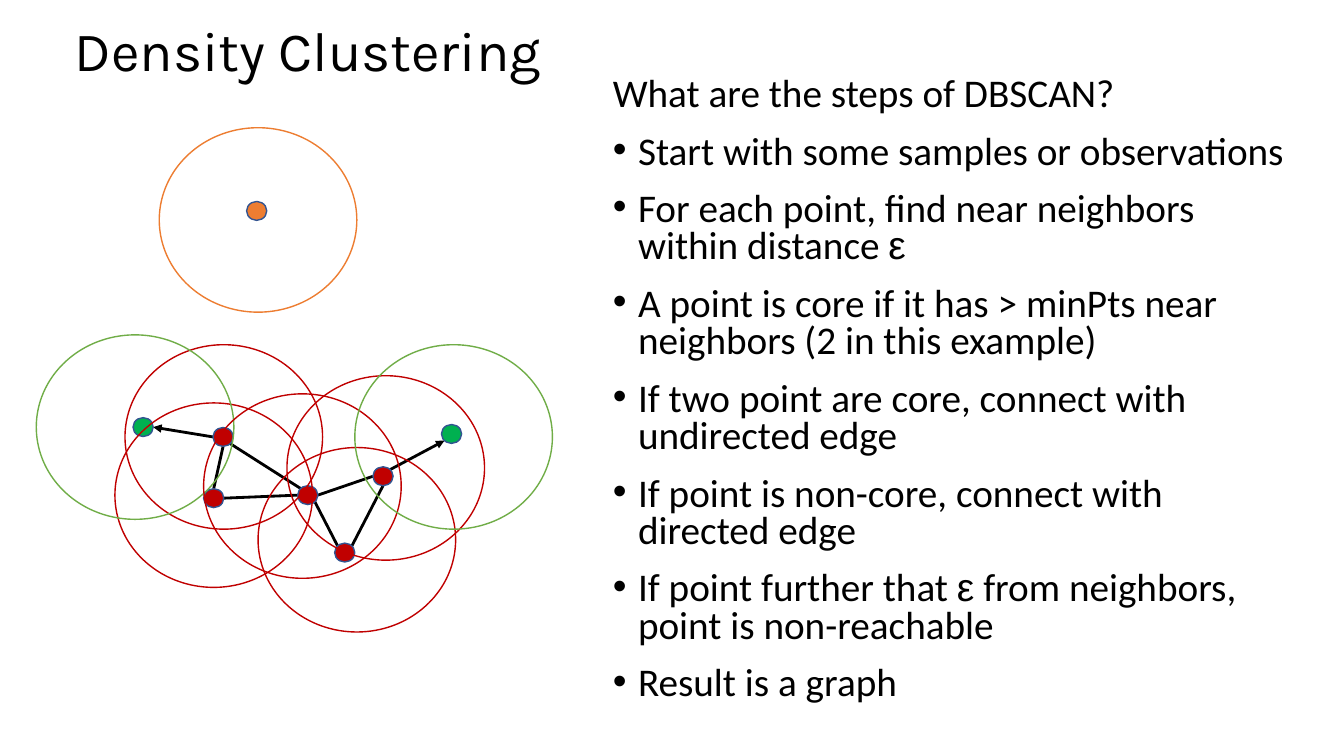
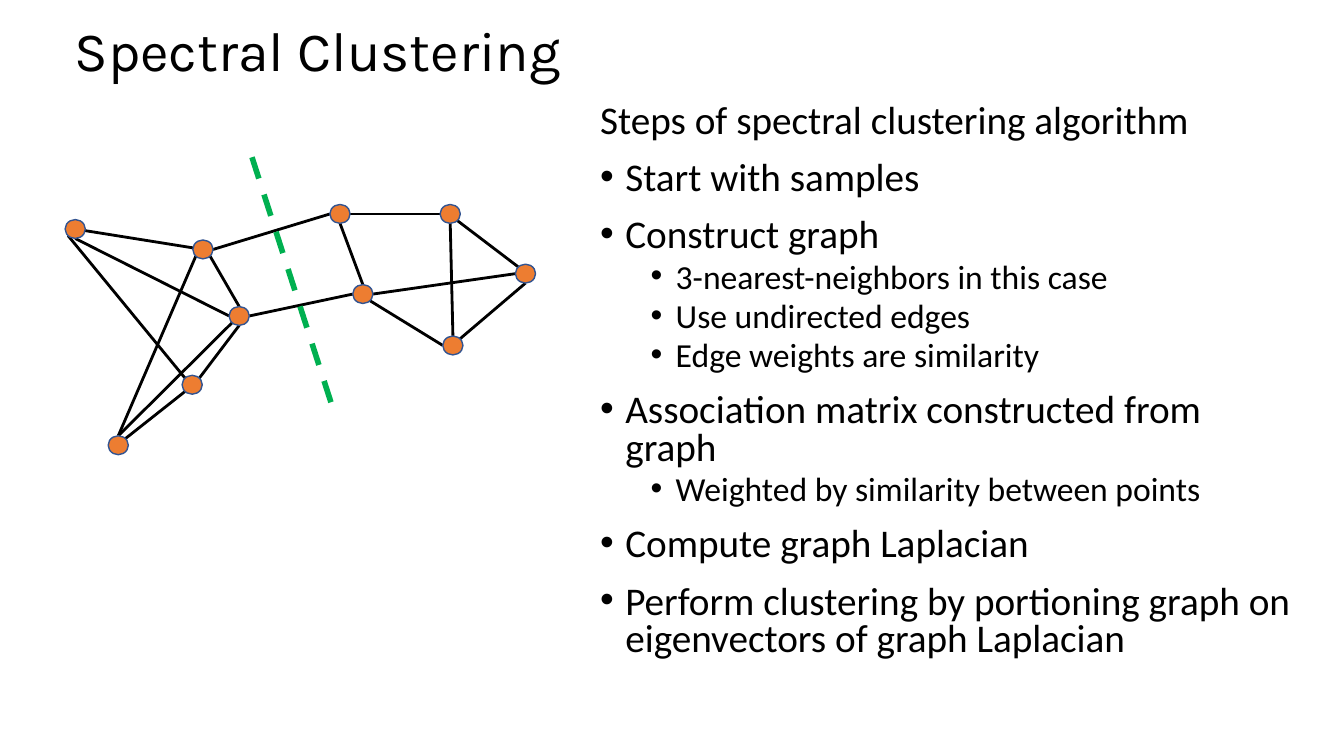
from lxml.etree import SubElement
from pptx import Presentation
from pptx.dml.color import RGBColor
from pptx.enum.dml import MSO_LINE
from pptx.enum.shapes import MSO_CONNECTOR, MSO_SHAPE
from pptx.enum.text import MSO_ANCHOR, MSO_AUTO_SIZE, PP_ALIGN
from pptx.oxml.ns import qn
from pptx.util import Inches, Pt

WIDE, HIGH = Inches(13.33), Inches(7.5)
COLS = ROWS = 100

BLACK = RGBColor(0x00, 0x00, 0x00)
RED = RGBColor(0xC0, 0x00, 0x00)
GREEN = RGBColor(0x00, 0xB0, 0x50)
LEAF = RGBColor(0x70, 0xAD, 0x47)
ORANGE = RGBColor(0xED, 0x7D, 0x31)
NAVY = RGBColor(0x32, 0x54, 0x91)

TITLE = (4.8, 3.2, 86.3, 7.7)
DOT = (1.5, 2.5)
RING = (14.7, 24.4)
DIAG = 0.5 ** 0.5
PORTS = {
    "C": (0, 0), "N": (0, -1), "S": (0, 1), "W": (-1, 0), "E": (1, 0),
    "NW": (-DIAG, -DIAG), "NE": (DIAG, -DIAG),
    "SW": (-DIAG, DIAG), "SE": (DIAG, DIAG),
}
STYLES = [(28, 14, 0.25), (24, 5, 0.75)]
HANG = Inches(0.25)

SCAN_TEXT = [
    (0, "What are the steps of DBSCAN?"),
    (0, "Start with some samples or observations"),
    (0, "For each point, find near neighbors within distance ε"),
    (0, "A point is core if it has > minPts near neighbors (2 in this example)"),
    (0, "If two point are core, connect with undirected edge"),
    (0, "If point is non-core, connect with directed edge"),
    (0, "If point further that ε from neighbors, point is non-reachable"),
    (0, "Result is a graph"),
]
SCAN_DOTS = {
    "a": (16.6, 57.8, RED), "b": (10.65, 56.5, GREEN),
    "c": (19.1, 27.9, ORANGE), "d": (15.9, 65.9, RED),
    "e": (22.9, 65.5, RED), "f": (28.5, 63, RED),
    "g": (25.65, 73.1, RED), "h": (33.6, 57.4, GREEN),
}
SCAN_RINGS = [
    (16.65, 57.8, RED), (15.9, 65.5, RED), (10.05, 56.5, LEAF),
    (22.5, 64.3, RED), (28.7, 61.9, RED), (26.55, 71.4, RED),
    (33.75, 57.8, LEAF), (19.2, 29.1, ORANGE),
]
SCAN_EDGES = ["a S d N", "a SE e NW", "d E e W", "e E f W", "e SE g NW", "f S g NE"]
SCAN_ARROWS = ["a W b E", "f NE h SW"]

CUT_TEXT = [
    (0, "Steps of spectral clustering algorithm"),
    (0, "Start with samples"),
    (0, "Construct graph"),
    (1, "3-nearest-neighbors in this case"),
    (1, "Use undirected edges"),
    (1, "Edge weights are similarity"),
    (0, "Association matrix constructed from graph"),
    (1, "Weighted by similarity between points"),
    (0, "Compute graph Laplacian"),
    (0, "Perform clustering by portioning graph on eigenvectors of graph Laplacian"),
]
CUT_DOTS = {
    "a": (5.6, 30.3, ORANGE), "b": (15.1, 33, ORANGE),
    "c": (8.8, 58.9, ORANGE), "d": (14.3, 50.9, ORANGE),
    "e": (17.8, 41.8, ORANGE), "f": (25.3, 28.3, ORANGE),
    "g": (27, 38.9, ORANGE), "h": (33.5, 28.3, ORANGE),
    "i": (33.7, 45.7, ORANGE), "j": (39.1, 36.2, ORANGE),
}
CUT_EDGES = [
    "a C b C", "a S e W", "d NE e S", "c NE d SW", "e N b SE", "a SW d NW",
    "b E f W", "e E g W", "b SW c N", "e SW c N", "i W g SE", "g N f S",
    "i N h S", "i NE j S", "h SE j NW", "f E h W", "g E j W",
]


def grid(x, y):
    """Turn columns and rows into slide lengths."""
    return round(x * WIDE / COLS), round(y * HIGH / ROWS)


def place(shape, box):
    """Move a placeholder to a box on the grid."""
    shape.left, shape.top = grid(*box[:2])
    shape.width, shape.height = grid(*box[2:])


def style(para, name, size):
    """Set the font of a whole paragraph."""
    font = para.font
    font.name, font.size = name, Pt(size)
    font.color.rgb = BLACK


def add_title(slide, text):
    """Fill and format the title."""
    shape = slide.shapes.title
    place(shape, TITLE)
    frame = shape.text_frame
    frame.text = text
    frame.auto_size = MSO_AUTO_SIZE.NONE
    frame.vertical_anchor = MSO_ANCHOR.MIDDLE
    para = frame.paragraphs[0]
    para.alignment = PP_ALIGN.LEFT
    para.line_spacing = 0.9
    style(para, "Karla", 39.6)


def set_bullet(para, left):
    """Give a paragraph a hanging bullet, or none without an indent."""
    props = para._p.get_or_add_pPr()
    props.set("marL", str(Inches(left)))
    props.set("indent", str(-HANG if left else 0))
    if left:
        SubElement(props, qn("a:buFont"), typeface="Arial")
        SubElement(props, qn("a:buChar"), char="•")
    else:
        SubElement(props, qn("a:buNone"))


def add_runs(para, text):
    """Write text with each epsilon in its own font."""
    for part in text.replace("ε", "|ε|").split("|"):
        if part:
            run = para.add_run()
            run.text = part
            if part == "ε":
                run.font.name = "Arial"


def add_list(slide, box, lines):
    """Fill the body with a lead line and its bullets."""
    shape = slide.placeholders[1]
    place(shape, box)
    frame = shape.text_frame
    frame.auto_size = MSO_AUTO_SIZE.NONE
    for num, (level, text) in enumerate(lines):
        para = frame.add_paragraph() if num else frame.paragraphs[0]
        size, gap, left = STYLES[level]
        para.level = level
        para.line_spacing = 0.8
        para.space_before = Pt(gap if num else 0)
        set_bullet(para, left if num else 0)
        style(para, "Calibri", size)
        add_runs(para, text)


def add_oval(slide, x, y, size, line, fill=None):
    """Draw an ellipse around a centre."""
    wide, high = size
    shape = slide.shapes.add_shape(
        MSO_SHAPE.OVAL, *grid(x - wide / 2, y - high / 2), *grid(wide, high))
    shape.shadow.inherit = False
    shape.line.color.rgb = line
    shape.line.width = Pt(1)
    if fill is None:
        shape.fill.background()
    else:
        shape.fill.solid()
        shape.fill.fore_color.rgb = fill


def add_line(slide, start, end, color=BLACK, width=2, dash=None, arrow=False):
    """Draw a straight line between two grid points."""
    line = slide.shapes.add_connector(
        MSO_CONNECTOR.STRAIGHT, *grid(*start), *grid(*end))
    line.line.color.rgb = color
    line.line.width = Pt(width)
    if dash is not None:
        line.line.dash_style = dash
    props = line._element.spPr
    if arrow:
        SubElement(props.find(qn("a:ln")), qn("a:tailEnd"), type="triangle")
    SubElement(props, qn("a:effectLst"))


def port(dots, name, side):
    """Find the point on one side of a dot."""
    x, y, _ = dots[name]
    right, down = PORTS[side]
    return x + right * DOT[0] / 2, y + down * DOT[1] / 2


def add_graph(slide, dots, edges, arrows=()):
    """Draw edges and arrows, then the dots that they join."""
    for group, arrow in ((edges, False), (arrows, True)):
        for edge in group:
            tail, out, head, into = edge.split()
            add_line(slide, port(dots, tail, out), port(dots, head, into), arrow=arrow)
    for x, y, fill in dots.values():
        add_oval(slide, x, y, DOT, NAVY, fill)


def add_page(deck, title, box, lines):
    """Add a slide with its title and list."""
    slide = deck.slides.add_slide(deck.slide_layouts[1])
    add_title(slide, title)
    add_list(slide, box, lines)
    return slide


def main():
    """Build and save both slides."""
    deck = Presentation()
    deck.slide_width, deck.slide_height = WIDE, HIGH

    scan = add_page(deck, "Density Clustering", (44.85, 9.6, 52.4, 88.8), SCAN_TEXT)
    add_graph(scan, SCAN_DOTS, SCAN_EDGES, SCAN_ARROWS)
    for x, y, color in SCAN_RINGS:
        add_oval(scan, x, y, RING, color)

    cut = add_page(deck, "Spectral Clustering", (43.9, 13.1, 53.4, 81.7), CUT_TEXT)
    add_graph(cut, CUT_DOTS, CUT_EDGES)
    add_line(cut, (18.75, 20.8), (24.75, 53.9), GREEN, 4, MSO_LINE.DASH)

    deck.save("out.pptx")


if __name__ == "__main__":
    main()
